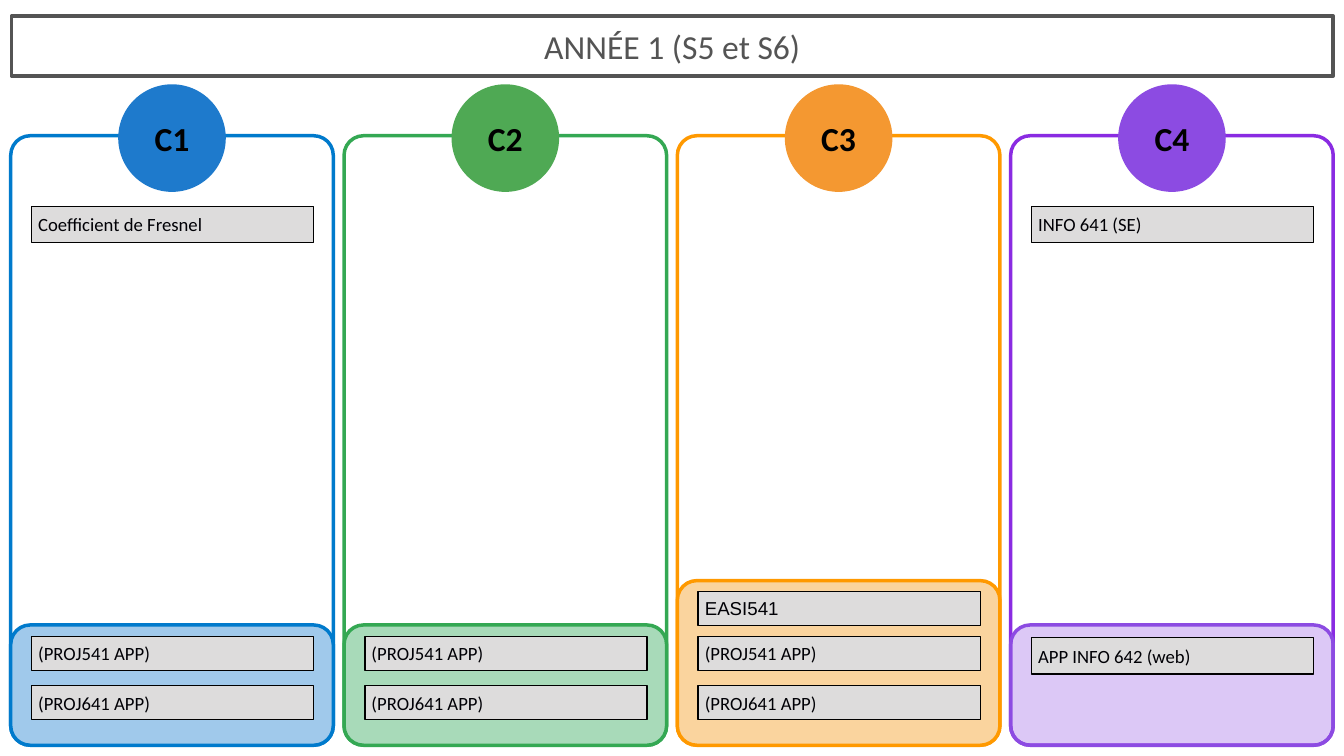
from dataclasses import dataclass
from typing import Optional

from lxml import etree
from pptx import Presentation
from pptx.dml.color import RGBColor
from pptx.enum.shapes import MSO_SHAPE
from pptx.enum.text import MSO_ANCHOR, PP_ALIGN
from pptx.oxml.ns import qn
from pptx.util import Inches, Pt

RECT, ROUND, OVAL = MSO_SHAPE.RECTANGLE, MSO_SHAPE.ROUNDED_RECTANGLE, MSO_SHAPE.OVAL
LEFT, CENTER, MIDDLE = PP_ALIGN.LEFT, PP_ALIGN.CENTER, MSO_ANCHOR.MIDDLE


@dataclass(frozen=True)
class Theme:
    font: str = "Calibri"
    title: str = "545454"
    ink: str = "000005"
    black: str = "000000"
    bar: str = "DDDCDC"
    big: float = 36
    small: float = 20
    thick: float = 3.75
    mid: float = 2.25
    thin: float = 1.5


@dataclass(frozen=True)
class Box:
    left: float
    top: float
    width: float
    height: float


@dataclass(frozen=True)
class Bar:
    text: str
    top: float
    height: float = 0.51
    font: str = "Calibri"


@dataclass(frozen=True)
class Column:
    name: str
    line: str
    disc: str
    panel: str
    edge: str
    top: float
    bars: tuple[Bar, ...]
    alpha: Optional[int] = None


THEME = Theme()
FIRST, STEP, WIDTH = 0.16, 4.96, 4.8
BODY_TOP, FOOT, RADIUS = 2.02, 11.09, 0.29
DISC = 1.57

PROJECTS = (Bar("(PROJ541 APP)", 9.47), Bar("(PROJ641 APP)", 10.2))
COLUMNS = (
    Column("C1", "007ACC", "1E7ACC", "A0C9EB", "007ACC", 9.3,
           (*PROJECTS, Bar("Coefficient de Fresnel", 3.07, 0.54))),
    Column("C2", "34A853", "4FA954", "A8DAB9", "34A853", 9.3, PROJECTS),
    Column("C3", "FF9900", "F49831", "FAD49E", "FF9900", 8.64,
           (*PROJECTS, Bar("EASI541", 8.8, font="Arial"))),
    Column("C4", "8A2BE2", "8C4BE2", "8C4BE2", "8C4BE2", 9.3,
           (Bar("INFO 641 (SE)", 3.07, 0.54),
            Bar("APP INFO 642 (web)", 9.49, 0.54)), alpha=30),
)


def draw(slide, kind, box: Box, line: str, weight: float,
         fill: Optional[str] = None, alpha: Optional[int] = None):
    """Add one outlined shape; alpha is the opacity in percent."""
    shape = slide.shapes.add_shape(
        kind, Inches(box.left), Inches(box.top), Inches(box.width), Inches(box.height))
    shape.shadow.inherit = False
    shape.line.color.rgb = RGBColor.from_string(line)
    shape.line.width = Pt(weight)
    if kind == ROUND:
        shape.adjustments[0] = RADIUS / min(box.width, box.height)
    if fill is None:
        shape.fill.background()
    else:
        shape.fill.solid()
        shape.fill.fore_color.rgb = RGBColor.from_string(fill)
    if alpha is not None:
        color = shape.fill._xPr.find(qn("a:solidFill"))[0]
        etree.SubElement(color, qn("a:alpha")).set("val", str(alpha * 1000))
    return shape


def write(shape, text: str, size: float, color: str, align=CENTER,
          font: str = THEME.font, bold: bool = False, inset: Optional[float] = None) -> None:
    frame = shape.text_frame
    frame.word_wrap = True
    frame.vertical_anchor = MIDDLE
    if inset is not None:
        for side in ("left", "top", "right", "bottom"):
            setattr(frame, f"margin_{side}", Inches(inset))
    line = frame.paragraphs[0]
    line.alignment = align
    run = line.add_run()
    run.text = text
    for key, value in {"name": font, "size": Pt(size), "bold": bold}.items():
        setattr(run.font, key, value)
    run.font.color.rgb = RGBColor.from_string(color)


def draw_frame(slide, col: Column, left: float) -> None:
    box = Box(left, BODY_TOP, WIDTH, FOOT - BODY_TOP)
    draw(slide, ROUND, box, col.line, THEME.thick)


def draw_disc(slide, col: Column, left: float) -> None:
    box = Box(left + (WIDTH - DISC) / 2, 1.27, DISC, DISC)
    disc = draw(slide, OVAL, box, col.disc, THEME.mid, col.disc)
    write(disc, col.name, THEME.big, THEME.black, bold=True, inset=0)


def draw_panel(slide, col: Column, left: float) -> None:
    box = Box(left, col.top, WIDTH, FOOT - col.top)
    draw(slide, ROUND, box, col.edge, THEME.thick, col.panel, col.alpha)


def draw_bars(slide, col: Column, left: float) -> None:
    for bar in col.bars:
        box = Box(left + 0.31, bar.top, 4.2, bar.height)
        shape = draw(slide, RECT, box, THEME.black, THEME.thin, THEME.bar)
        write(shape, bar.text, THEME.small, THEME.ink, LEFT, bar.font)


def main() -> None:
    deck = Presentation()
    deck.slide_width, deck.slide_height = Inches(20), Inches(11.25)
    slide = deck.slides.add_slide(deck.slide_layouts[6])

    # Year banner
    banner = draw(slide, RECT, Box(0.17, 0.24, 19.67, 0.89), THEME.title, THEME.thick)
    write(banner, "ANNÉE 1 (S5 et S6)", THEME.big, THEME.title)

    # Columns, layer by layer
    for layer in (draw_frame, draw_disc, draw_panel, draw_bars):
        for i, col in enumerate(COLUMNS):
            layer(slide, col, FIRST + i * STEP)

    deck.save("out.pptx")


if __name__ == "__main__":
    main()
